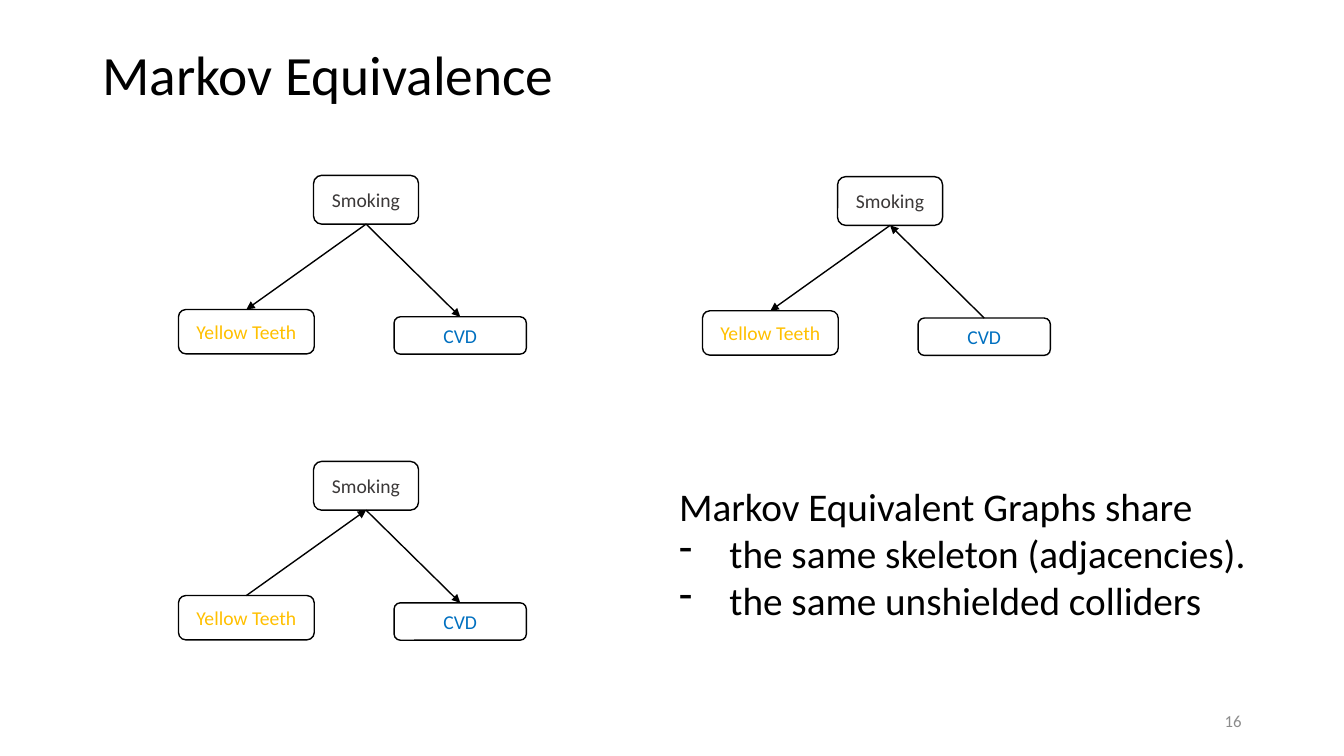
import pptx
import pptx.util
import pptx.dml.color
import pptx.enum.shapes
import pptx.enum.text
import pptx.oxml
import pptx.oxml.ns

Pt = pptx.util.Pt
RGBColor = pptx.dml.color.RGBColor
Align = pptx.enum.text.PP_ALIGN
Anchor = pptx.enum.text.MSO_ANCHOR

BLACK = RGBColor(0x00, 0x00, 0x00)
WHITE = RGBColor(0xFF, 0xFF, 0xFF)
GRAY = RGBColor(0x8C, 0x8C, 0x8C)
CHARCOAL = RGBColor(0x3B, 0x38, 0x38)
YELLOW = RGBColor(0xFF, 0xC0, 0x00)
BLUE = RGBColor(0x00, 0x70, 0xC0)

NODES = {
    "Smoking": (96.5, 0, 75, 34.8, CHARCOAL),
    "Yellow Teeth": (0, 95.8, 97, 31.7, YELLOW),
    "CVD": (154, 101, 94.5, 26.7, BLUE),
}
GRAPHS = [
    (127.5, 125.3, [("Smoking", "Yellow Teeth"), ("Smoking", "CVD")]),
    (501.8, 126.2, [("Smoking", "Yellow Teeth"), ("CVD", "Smoking")]),
    (127.5, 329.6, [("Yellow Teeth", "Smoking"), ("Smoking", "CVD")]),
]


def write(para, text, size=14, color=BLACK, align=Align.LEFT, spacing=None, dash=False, font="Calibri"):
    """Put formatted text into a paragraph."""
    if dash:
        props = para._p.get_or_add_pPr()
        props.set("marL", str(Pt(36)))
        props.set("indent", str(Pt(-36)))
        bullet = pptx.oxml.ns.qn("a:buChar")
        props.append(props.makeelement(bullet, {"char": "-"}))
    para.alignment = align
    if spacing:
        para.line_spacing = spacing
    span = para.add_run()
    span.text = text
    span.font.name = font
    span.font.size = Pt(size)
    span.font.color.rgb = color


class Painter:
    """Draw styled elements on the current slide."""

    def __init__(self, page, line_width=1):
        self.page = page
        self.line_width = Pt(line_width)

    def text(self, left, top, width, height, lines, anchor=Anchor.MIDDLE, **style):
        """Add a text box with one paragraph per (text, dash) pair."""
        box = self.page.shapes.add_textbox(Pt(left), Pt(top), Pt(width), Pt(height))
        frame = box.text_frame
        frame.word_wrap = True
        frame.vertical_anchor = anchor
        for index, (line, dash) in enumerate(lines):
            para = frame.add_paragraph() if index else frame.paragraphs[0]
            write(para, line, dash=dash, **style)

    def node(self, group, label, left, top, width, height, color):
        """Add a rounded, labelled node to a group."""
        kind = pptx.enum.shapes.MSO_SHAPE.ROUNDED_RECTANGLE
        box = group.shapes.add_shape(kind, Pt(left), Pt(top), Pt(width), Pt(height))
        box.shadow.inherit = False
        box.fill.solid()
        box.fill.fore_color.rgb = WHITE
        box.line.color.rgb = BLACK
        box.line.width = self.line_width
        frame = box.text_frame
        frame.word_wrap = True
        frame.margin_left = frame.margin_right = Pt(3)
        frame.margin_top = frame.margin_bottom = Pt(3.6)
        frame.vertical_anchor = Anchor.MIDDLE
        write(frame.paragraphs[0], label, color=color, align=Align.CENTER)
        return box

    def arrow(self, group, start, end):
        """Join two nodes, leaving the upper one below and the lower one above."""
        downward = start.top < end.top
        start_y = start.top + start.height if downward else start.top
        end_y = end.top if downward else end.top + end.height
        arrow = group.shapes.add_connector(
            pptx.enum.shapes.MSO_CONNECTOR.STRAIGHT,
            start.left + start.width // 2, start_y,
            end.left + end.width // 2, end_y)
        arrow.begin_connect(start, 2 if downward else 0)
        arrow.end_connect(end, 0 if downward else 2)
        arrow.line.color.rgb = BLACK
        arrow.line.width = self.line_width
        outline = arrow.line._get_or_add_ln()
        head = pptx.oxml.ns.qn("a:tailEnd")
        outline.append(outline.makeelement(head, {"type": "triangle"}))
        props = arrow._element.spPr
        props.append(props.makeelement(pptx.oxml.ns.qn("a:effectLst"), {}))

    def graph(self, left, top, edges):
        """Draw one causal graph as a group."""
        group = self.page.shapes.add_group_shape()
        boxes = {
            label: self.node(group, label, left + x, top + y, width, height, color)
            for label, (x, y, width, height, color) in NODES.items()
        }
        for cause, effect in edges:
            self.arrow(group, boxes[cause], boxes[effect])


def main():
    """Build and save the slide."""
    deck = pptx.Presentation()
    deck.slide_width, deck.slide_height = Pt(960), Pt(540)
    page = deck.slides.add_slide(deck.slide_layouts[6])
    painter = Painter(page)
    painter.text(66, 28.8, 828, 52.6, [("Markov Equivalence", False)], size=39.6, spacing=0.9)
    painter.text(678, 500.5, 216, 28.8, [("16", False)], size=12, color=GRAY, align=Align.RIGHT)
    for left, top, edges in GRAPHS:
        painter.graph(left, top, edges)
    painter.text(478, 340.6, 448.6, 143.3, [
        ("Markov Equivalent Graphs share", False),
        ("the same skeleton (adjacencies).", True),
        ("the same unshielded colliders", True),
    ], anchor=Anchor.TOP, size=28)
    deck.save("out.pptx")


if __name__ == "__main__":
    main()
